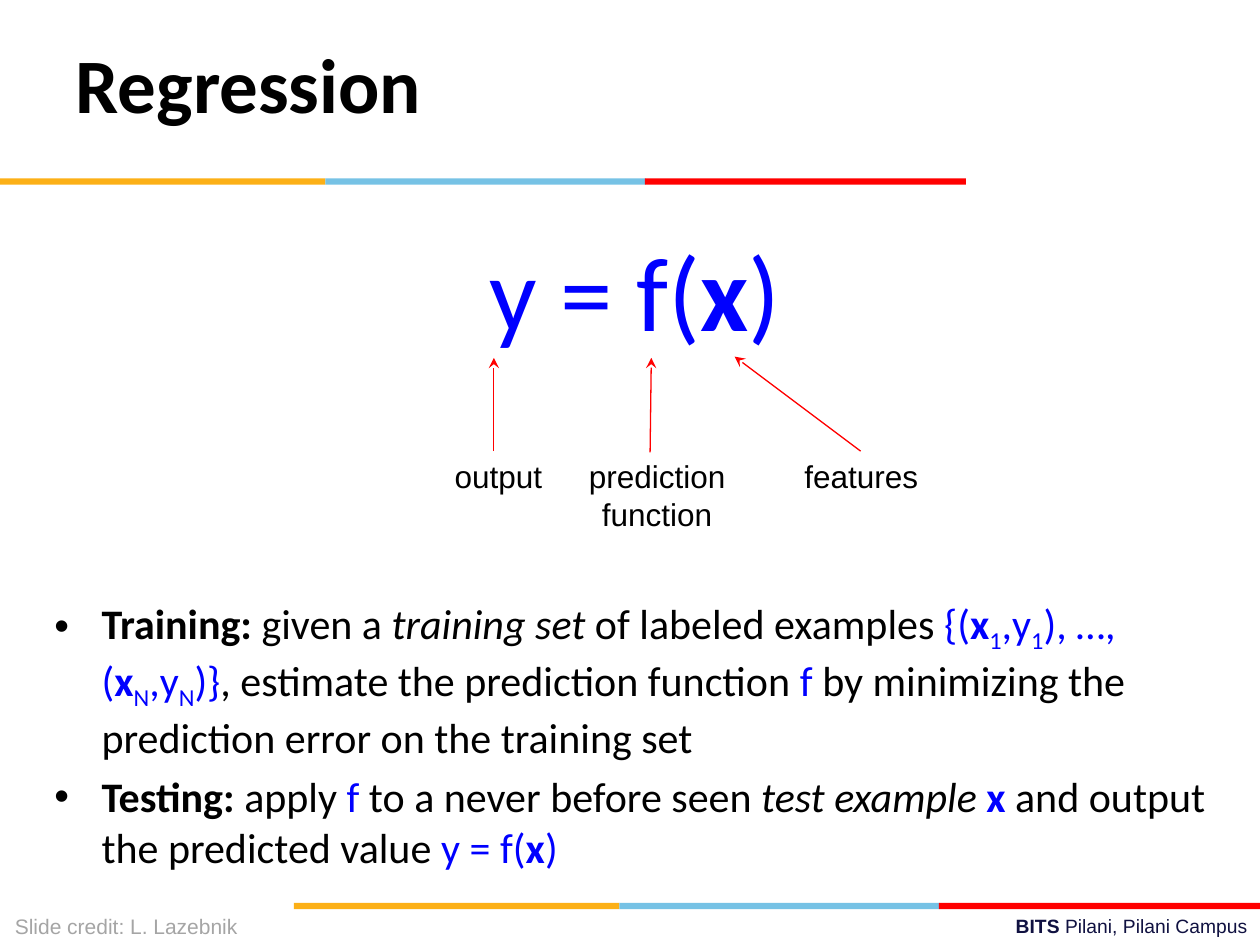
from typing import NamedTuple

from lxml import etree
from pptx import Presentation
from pptx import util as u
from pptx.dml import color
from pptx.enum import shapes, text
from pptx.oxml import ns

Pt = u.Pt
Align = text.PP_ALIGN
BLACK, BLUE, RED = "000000", "0000FF", "FF0000"
GOLD, SKY, NAVY, GRAY = "FCB017", "76C2E5", "101141", "A5A5A5"


class Box(NamedTuple):
    left: float
    top: float
    width: float
    height: float


class Span(NamedTuple):
    words: str
    style: str = ""


class Label(NamedTuple):
    box: Box
    spans: list[Span]
    size: float = 18
    tint: str = BLACK
    align: Align = Align.CENTER


class Arrow(NamedTuple):
    x1: float
    y1: float
    x2: float
    y2: float


class Item(NamedTuple):
    spans: list[Span]
    size: float
    gap: float
    align: Align = Align.LEFT
    bullet: bool = True


FORMULA = [Span("y = f(", "m"), Span("x", "mb"), Span(")", "m")]


def pair(mark: str) -> list[Span]:
    return [Span("x", "mb"), Span(mark, "ms"), Span(",y", "m"), Span(mark, "ms")]


ITEMS = [
    Item(FORMULA, 60, 0, Align.CENTER, False),
    Item([Span("Training: ", "b"), Span("given a "), Span("training set ", "i"),
          Span("of labeled examples "), Span("{(", "m"), *pair("1"),
          Span("), …, (", "m"), *pair("N"), Span(")}", "m"),
          Span(", estimate the prediction function "), Span("f ", "m"),
          Span("by minimizing the prediction error on the training set")], 24, 139.6),
    Item([Span("Testing:", "b"), Span(" apply "), Span("f", "m"),
          Span(" to a never before seen "), Span("test example ", "i"),
          Span("x", "mb"), Span(" and output the predicted value "), *FORMULA], 24, 4.8),
]
LABELS = [
    Label(Box(252.7, 257.8, 64.8, 28.8), [Span("output")], align=Align.LEFT),
    Label(Box(301, 257.8, 149, 51), [Span("prediction function")]),
    Label(Box(432.7, 257.8, 118.8, 28.8), [Span("features")]),
    Label(Box(1.4, 518.4, 142.6, 21.6), [Span("Slide credit: L. Lazebnik")],
          12, GRAY, Align.LEFT),
    Label(Box(257.8, 519.1, 462.2, 20.9),
          [Span("BITS ", "b"), Span("Pilani, Pilani Campus")], 11, NAVY, Align.RIGHT),
]
ARROWS = [Arrow(282.2, 257.8, 282.2, 204.5), Arrow(371.5, 258.5, 372.2, 204.5),
          Arrow(491.8, 257.8, 419.8, 203.8)]
BANDS = [(0, 186, GOLD), (186, 183, SKY), (368.5, 183.5, RED)]


def rgb(tint: str) -> color.RGBColor:
    return color.RGBColor.from_string(tint)


def place(shape, box: Box) -> None:
    shape.left, shape.top, shape.width, shape.height = map(Pt, box)


def write(para, spans: list[Span], face: str, size: float, tint: str, align: Align) -> None:
    para.alignment = align
    para.font.name, para.font.size = face, Pt(size)
    para.font.color.rgb = rgb(tint)
    for span in spans:
        run = para.add_run()
        run.text = span.words
        run.font.bold = "b" in span.style
        run.font.italic = "i" in span.style
        if "m" in span.style:
            run.font.color.rgb = rgb(BLUE)
        if "s" in span.style:
            run._r.get_or_add_rPr().set("baseline", "-25000")


def draw_bands(slide, left: float, top: float) -> None:
    for start, width, tint in BANDS:
        band = slide.shapes.add_shape(shapes.MSO_SHAPE.RECTANGLE, Pt(left + start),
                                      Pt(top), Pt(width), Pt(3.6))
        band.shadow.inherit = False
        band.fill.solid()
        band.fill.fore_color.rgb = rgb(tint)
        band.line.fill.background()


def draw_label(slide, label: Label) -> None:
    frame = slide.shapes.add_textbox(*map(Pt, label.box)).text_frame
    frame.word_wrap = True
    write(frame.paragraphs[0], label.spans, "Arial", label.size, label.tint, label.align)


def draw_arrow(slide, arrow: Arrow) -> None:
    line = slide.shapes.add_connector(shapes.MSO_CONNECTOR.STRAIGHT, *map(Pt, arrow))
    line.line.color.rgb = rgb(RED)
    line.line.width = Pt(0.75)
    etree.SubElement(line.line._get_or_add_ln(), ns.qn("a:tailEnd"), type="stealth")
    etree.SubElement(line._element.spPr, ns.qn("a:effectLst"))


def fill_title(title) -> None:
    place(title, Box(36, 17.3, 396.7, 60.5))
    title.text_frame.vertical_anchor = text.MSO_ANCHOR.MIDDLE
    write(title.text_frame.paragraphs[0], [Span("Regression", "b")],
          "Calibri", 44, BLACK, Align.LEFT)


def fill_body(body) -> None:
    place(body, Box(23.8, 126, 678.2, 356.4))
    frame = body.text_frame
    frame.auto_size = text.MSO_AUTO_SIZE.NONE
    for rank, item in enumerate(ITEMS):
        para = frame.add_paragraph() if rank else frame.paragraphs[0]
        if not item.bullet:
            etree.SubElement(para._p.get_or_add_pPr(), ns.qn("a:buNone"))
        para.space_before = Pt(item.gap)
        write(para, item.spans, "Calibri", item.size, BLACK, item.align)


def main() -> None:
    deck = Presentation()
    deck.slide_width, deck.slide_height = Pt(720), Pt(540)
    slide = deck.slides.add_slide(deck.slide_layouts[1])
    draw_bands(slide, 168, 516)
    draw_bands(slide, 0, 102)
    fill_title(slide.shapes.title)
    fill_body(slide.placeholders[1])
    for arrow in ARROWS:
        draw_arrow(slide, arrow)
    for label in LABELS:
        draw_label(slide, label)
    deck.save("out.pptx")


if __name__ == "__main__":
    main()
